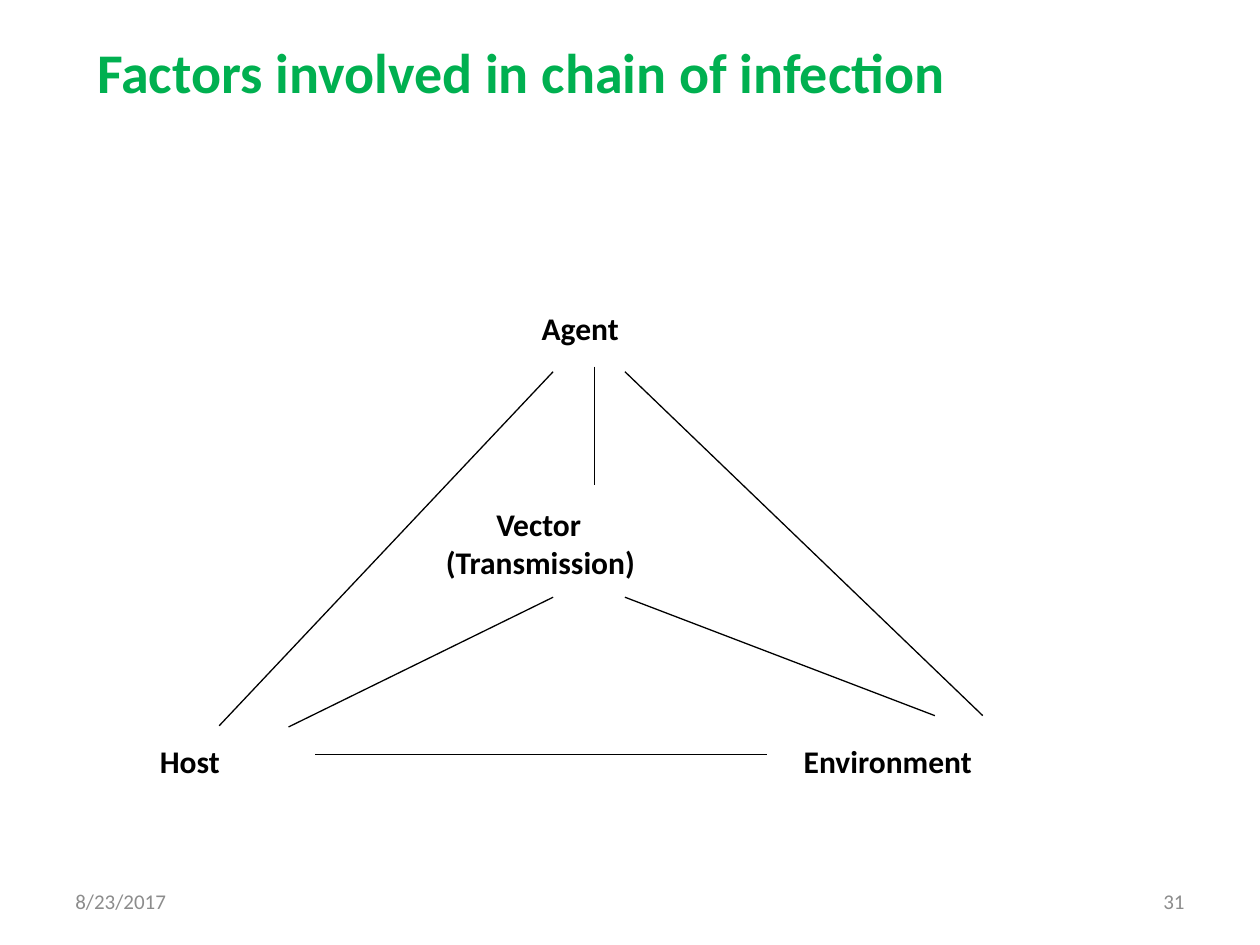
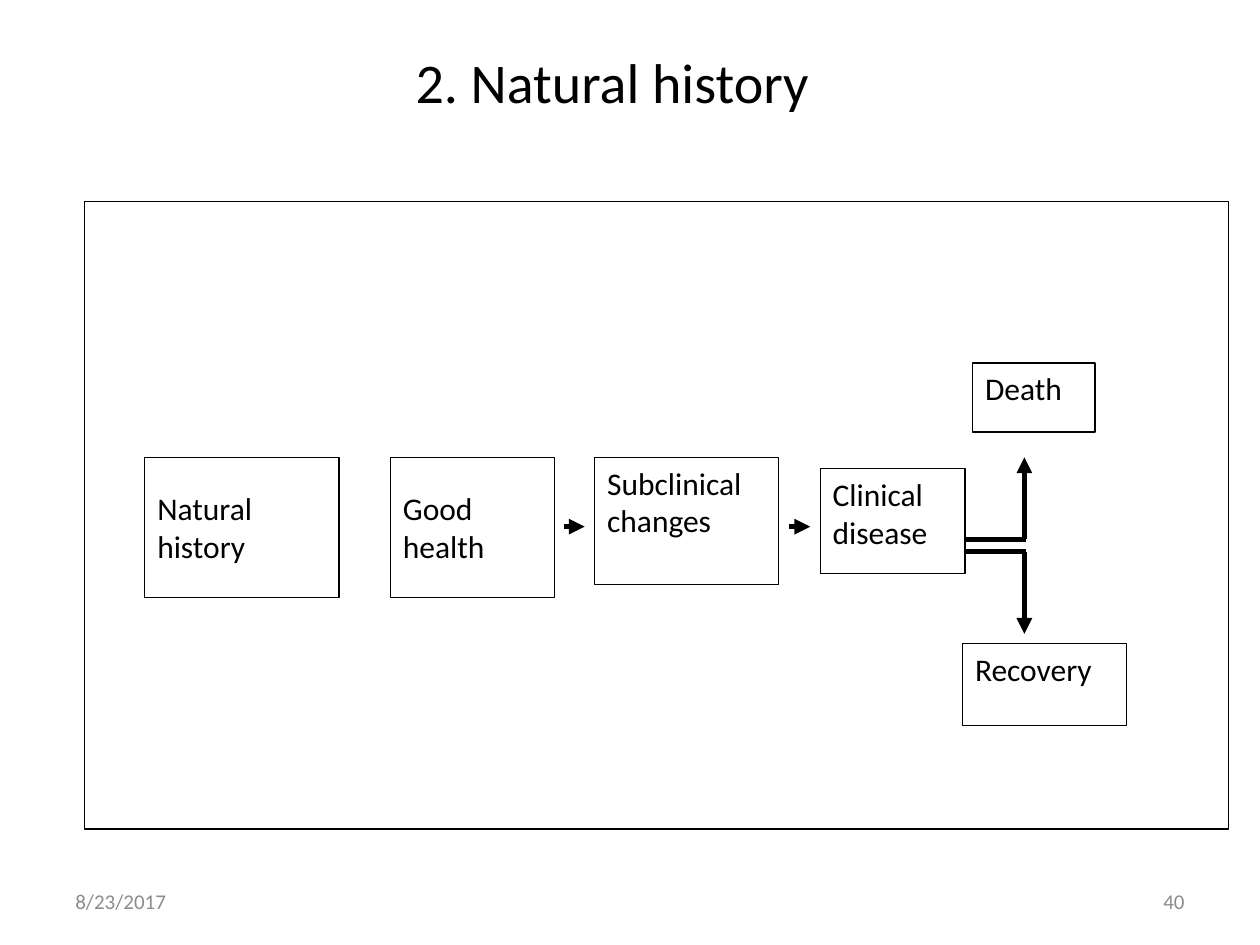
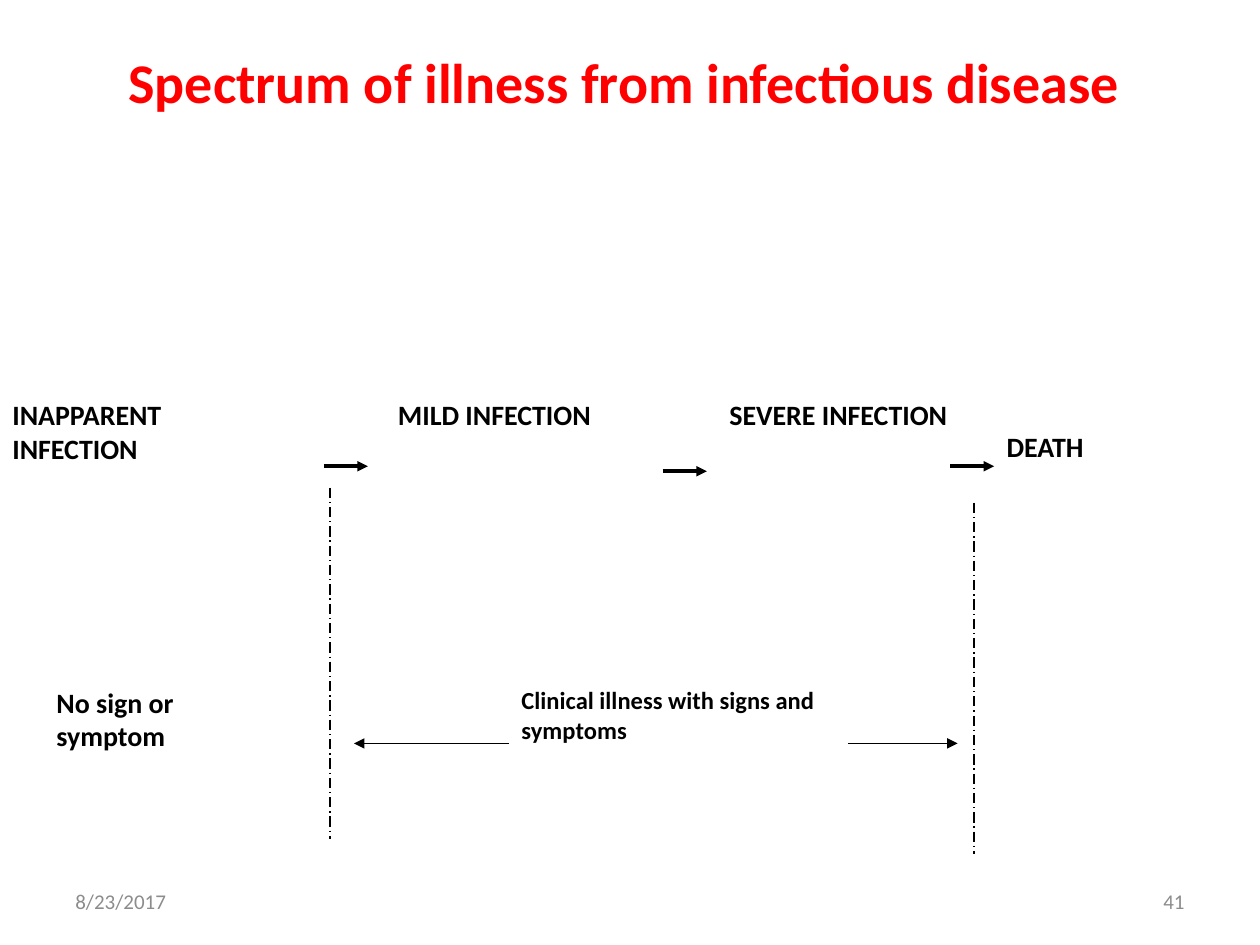
import pptx
import pptx.util
import pptx.dml.color
import pptx.enum.dml
import pptx.enum.shapes
import pptx.enum.text
import pptx.oxml
from dataclasses import dataclass

ALIGN = pptx.enum.text.PP_ALIGN
ANCHOR = pptx.enum.text.MSO_ANCHOR
INCH = pptx.util.Inches


@dataclass(frozen=True)
class Theme:
    font: str = "Calibri"
    ink: str = "000000"
    paper: str = "FFFFFF"
    green: str = "00B050"
    red: str = "FF0000"
    grey: str = "8C8C8C"
    head: int = 32
    label: int = 18
    stage: int = 16
    note: int = 14
    foot: int = 12
    thin: float = 0.75
    mid: float = 2
    thick: float = 3


T = Theme()
WIDE, HIGH = 10, 7.5
DATE = "8/23/2017"

# Content: titles as text, box, alignment, colour, bold, page number
TITLES = {
    "chain": ("Factors involved in chain of infection", (0.67, 0.25, 8.6, 0.64),
              ALIGN.JUSTIFY, T.green, True, 31),
    "history": ("2. Natural history", (3.08, 0.33, 3.56, 1.17),
                ALIGN.CENTER, T.ink, False, 40),
    "spectrum": ("Spectrum of illness from infectious disease", (0.58, 0.33, 8.75, 1.17),
                 ALIGN.CENTER, T.red, True, 41),
}

# Content: the corners of the triangle and its centre
FACTORS = [
    ("Agent", (4.2, 2.4, 1.32, 0.47)),
    ("Vector\n(Transmission)", (3.44, 3.96, 2.65, 0.78)),
    ("Host", (1.17, 5.84, 1.14, 0.47)),
    ("Environment", (6.28, 5.84, 2.65, 0.47)),
]

# Content: stages as text, box, top inset
HISTORY = [
    ("Natural history", (1.15, 3.63, 1.54, 1.11), 0.25),
    ("Good health", (3.1, 3.63, 1.3, 1.11), 0.25),
    ("Subclinical changes", (4.72, 3.63, 1.46, 1.01), 0.05),
    ("Clinical\ndisease", (6.51, 3.72, 1.15, 0.83), 0.05),
]
ENDINGS = [
    ("Death", (7.72, 2.88, 0.97, 0.55), 0.05),
    ("Recovery", (7.64, 5.11, 1.3, 0.65), 0.05),
]

# Content: spectrum labels as text, box, size
SPECTRUM = [
    ("INAPPARENT INFECTION", (0, 3.11, 2.37, 1.27), T.stage),
    ("MILD INFECTION", (3.06, 3.11, 2.19, 1.27), T.stage),
    ("SEVERE INFECTION", (5.69, 3.11, 2.09, 1.27), T.stage),
    ("DEATH", (7.89, 3.36, 1.58, 0.76), T.stage),
    ("No sign or symptom", (0.35, 5.39, 1.7, 1.52), T.stage),
    ("Clinical illness with signs and symptoms", (4.04, 5.39, 2.98, 1.02), T.note),
]


def tint(code):
    return pptx.dml.color.RGBColor.from_string(code)


def write(shape, text, size, color=T.ink, bold=False, align=ALIGN.LEFT,
          anchor=ANCHOR.TOP, top=0.05):
    frame = shape.text_frame
    frame.text = text
    frame.word_wrap = True
    frame.auto_size = pptx.enum.text.MSO_AUTO_SIZE.NONE
    frame.vertical_anchor = anchor
    frame.margin_top = INCH(top)
    for para in frame.paragraphs:
        para.alignment = align
        for run in para.runs:
            font = run.font
            font.name, font.size, font.bold = T.font, pptx.util.Pt(size), bold
            font.color.rgb = tint(color)


def label(slide, text, box, size, **style):
    shape = slide.shapes.add_textbox(*map(INCH, box))
    write(shape, text, size, **style)
    return shape


def panel(slide, box, fill=None):
    kind = pptx.enum.shapes.MSO_SHAPE.RECTANGLE
    shape = slide.shapes.add_shape(kind, *map(INCH, box))
    shape.shadow.inherit = False
    if fill:
        shape.fill.solid()
        shape.fill.fore_color.rgb = tint(fill)
    else:
        shape.fill.background()
    shape.line.color.rgb = tint(T.ink)
    shape.line.width = pptx.util.Pt(T.thin)
    return shape


def stroke(slide, start, end, width=T.thin, arrow=False, dash=None):
    kind = pptx.enum.shapes.MSO_CONNECTOR.STRAIGHT
    link = slide.shapes.add_connector(kind, *map(INCH, (*start, *end)))
    link.line.color.rgb = tint(T.ink)
    link.line.width = pptx.util.Pt(width)
    if dash:
        link.line.dash_style = dash
    if arrow:
        tip = pptx.oxml.parse_xml(
            '<a:tailEnd xmlns:a="http://schemas.openxmlformats.org/drawingml/2006/main"'
            ' type="triangle"/>')
        link.line._get_or_add_ln().append(tip)
    props = link._element.spPr
    props.append(props.makeelement(pptx.oxml.ns.qn("a:effectLst"), {}))


def start(deck, name):
    """Add a slide with its title, date and page number."""
    text, box, align, color, bold, page = TITLES[name]
    slide = deck.slides.add_slide(deck.slide_layouts[5])
    title = slide.shapes.title
    title.left, title.top, title.width, title.height = map(INCH, box)
    write(title, text, T.head, color, bold, align)
    side, wide, top = WIDE * 0.05, 2.33, 6.95
    for words, left, flow in ((DATE, side, ALIGN.LEFT),
                              (str(page), WIDE - side - wide, ALIGN.RIGHT)):
        label(slide, words, (left, top, wide, 0.4), T.foot, color=T.grey,
              align=flow, anchor=ANCHOR.MIDDLE)
    return slide


def chain(deck):
    slide = start(deck, "chain")
    for text, box in FACTORS:
        shape = label(slide, text, box, T.label, bold=True)
        if text.startswith("Vector"):
            first = shape.text_frame.paragraphs[0]
            first._p.get_or_add_pPr().set("marL", str(INCH(0.4)))
    # Spokes leave Agent and Vector from the same two columns
    west, axis, east = 4.39, 4.72, 4.96
    agent, vector, base = 2.95, 4.74, 5.99
    for a, b in [
        ((axis, 2.91), (axis, 3.85)),
        ((west, vector), (2.29, 5.77)),
        ((east, vector), (7.42, 5.68)),
        ((west, agent), (1.74, 5.76)),
        ((east, agent), (7.8, 5.68)),
        ((2.5, base), (6.09, base)),
    ]:
        stroke(slide, a, b)


def history(deck):
    slide = start(deck, "history")
    panel(slide, (0.67, 1.6, 9.08, 4.98))
    for text, box, top in HISTORY + ENDINGS:
        write(panel(slide, box, T.paper), text, T.label, top=top)
    # Arrows between the stages, with equal air at both ends
    air, row = 0.08, 4.18
    for (_, left, _), (_, right, _) in zip(HISTORY[1:], HISTORY[2:]):
        stroke(slide, (left[0] + left[2] + air, row), (right[0] - air, row),
               T.thick, arrow=True)
    # Mirrored branches to the two endings
    edge, turn, fork = 7.65, 8.13, 4.33
    for way in (-1, 1):
        level = fork + way * 0.05
        stroke(slide, (edge, level), (turn + 0.01, level), T.thick)
        stroke(slide, (turn, level), (turn, fork + way * 0.7), T.thick, arrow=True)


def spectrum(deck):
    slide = start(deck, "spectrum")
    for text, box, size in SPECTRUM:
        label(slide, text, box, size, bold=True)
    # Borders of the clinical phase
    dash = pptx.enum.dml.MSO_LINE.LONG_DASH_DOT
    for x, y in ((2.62, 3.87), (7.73, 3.99)):
        stroke(slide, (x, y), (x, y + 2.79), dash=dash)
    # Span of the clinical phase
    for x, end in ((4.04, 2.81), (6.73, 7.6)):
        stroke(slide, (x, 5.9), (end, 5.9), arrow=True)
    # Steps from one stage to the next
    for x, y in ((2.57, 3.7), (5.26, 3.74), (7.54, 3.7)):
        stroke(slide, (x, y), (x + 0.35, y), T.mid, arrow=True)


def main():
    deck = pptx.Presentation()
    deck.slide_width, deck.slide_height = INCH(WIDE), INCH(HIGH)
    for build in (chain, history, spectrum):
        build(deck)
    deck.save("out.pptx")


if __name__ == "__main__":
    main()
